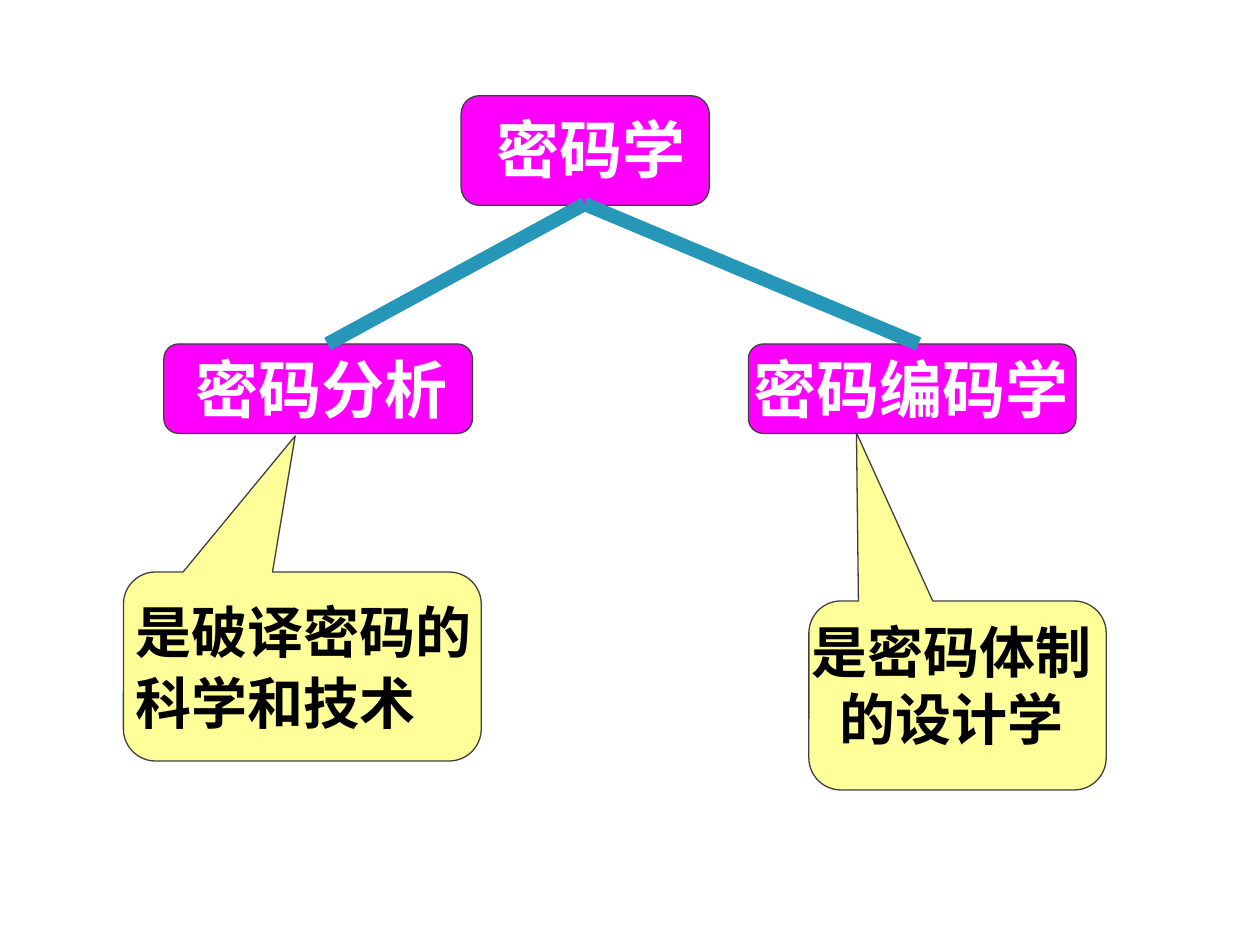
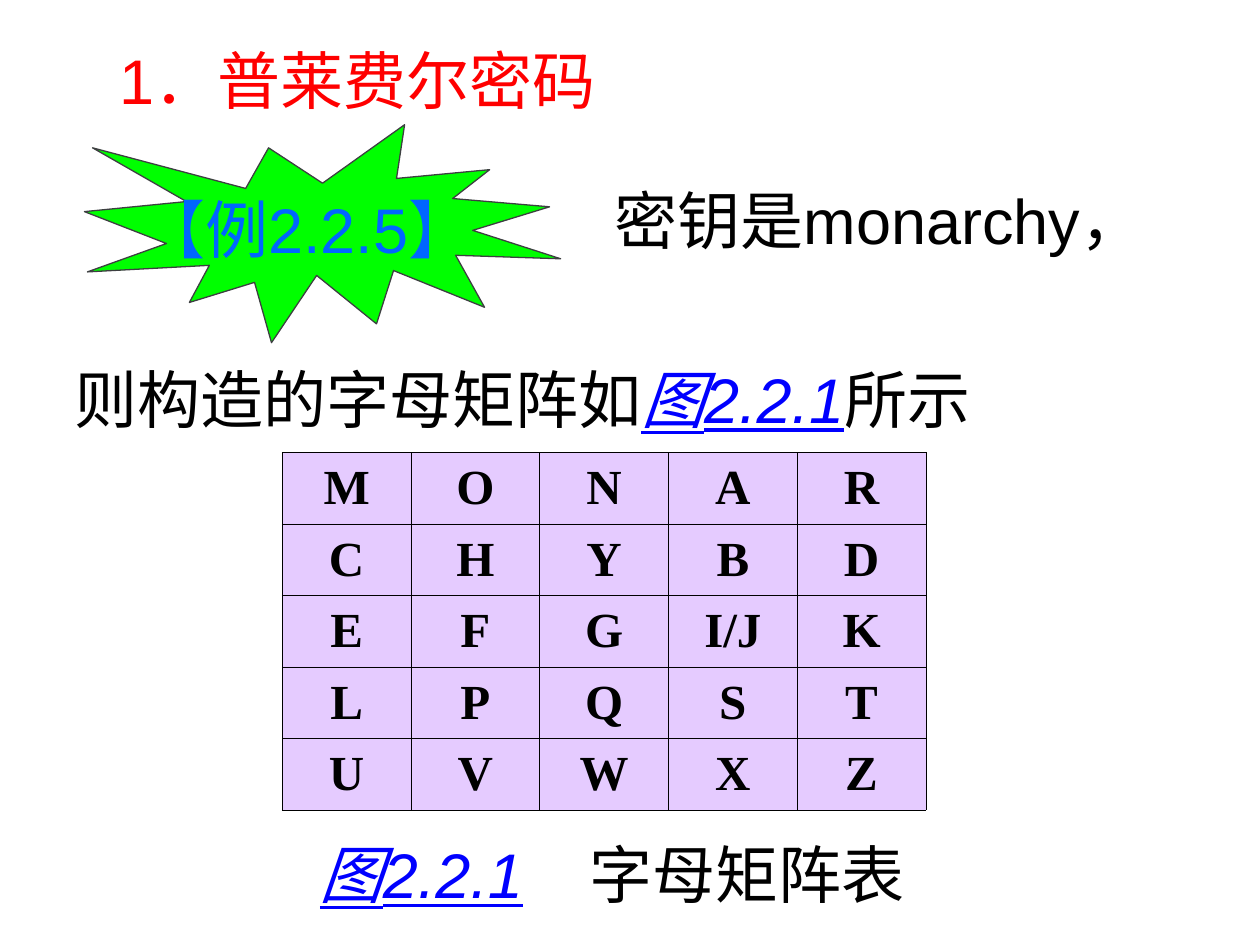
from lxml import etree
from pptx import Presentation, oxml, util as u
from pptx.dml import color
from pptx.enum import shapes, text
from pptx.oxml import ns

PX = 9144  # EMU in one px, 100 px to the inch
BLANK_LAYOUT = 6
BLACK, WHITE, RED = "000000", "FFFFFF", "FF0000"
MAGENTA, YELLOW, GREEN = "FF00FF", "FFFF99", "00FF00"
BLUE, LINK_BLUE, TEAL = "0066FF", "0000FF", "2797B9"
LILAC, OUTLINE = "CC99FF", "3D3F41"

MATRIX = [row.split() for row in ("M O N A R", "C H Y B D", "E F G I/J K", "L P Q S T", "U V W X Z")]
FIGURE = "图2.2.1"


def px(*lengths):
    return [u.Emu(length * PX) for length in lengths]


def rgb(code):
    return color.RGBColor.from_string(code)


class Painter:
    """Holds the deck style and the page being drawn."""

    font, size = "Arial", 36

    def __init__(self, deck):
        self.deck = deck
        self.page = None

    def new_page(self):
        self.page = self.deck.slides.add_slide(self.deck.slide_layouts[BLANK_LAYOUT])

    def style(self, span, tint, size=None, bold=False, font=None):
        span.font.name = font or self.font
        span.font.size = u.Pt(size or self.size)
        span.font.bold = bold
        span.font.color.rgb = rgb(tint)

    def shape(self, kind, place, fill, adjustments=()):
        shape = self.page.shapes.add_shape(kind, *px(*place))
        shape.shadow.inherit = False
        shape.fill.solid()
        shape.fill.fore_color.rgb = rgb(fill)
        shape.line.color.rgb = rgb(OUTLINE)
        shape.line.width = u.Pt(0.75)
        for index, value in enumerate(adjustments):
            shape.adjustments[index] = value

    def frame(self, place, wrap=False, middle=True):
        frame = self.page.shapes.add_textbox(*px(*place)).text_frame
        frame.word_wrap = wrap
        frame.auto_size = text.MSO_AUTO_SIZE.SHAPE_TO_FIT_TEXT
        frame.vertical_anchor = text.MSO_ANCHOR.MIDDLE if middle else text.MSO_ANCHOR.TOP
        return frame

    def label(self, words, place, tint=BLACK, size=None, bold=False, align=None, **options):
        frame = self.frame(place, **options)
        frame.text = words
        for para in frame.paragraphs:
            para.alignment = align
            self.style(para.runs[0], tint, size, bold)
        return frame

    def figure_line(self, before, after, place, tab=None):
        """Write a line that refers to the figure, with an optional tab stop in px."""
        para = self.frame(place, wrap=tab is not None).paragraphs[0]
        if tab is not None:
            stops = etree.SubElement(para._p.get_or_add_pPr(), ns.qn("a:tabLst"))
            etree.SubElement(stops, ns.qn("a:tab"), pos=str(tab * PX), algn="l")
        for words in filter(None, (before, FIGURE, after)):
            span = para.add_run()
            span.text = words
            is_link = words == FIGURE
            self.style(span, LINK_BLUE if is_link else BLACK)
            span.font.italic = span.font.underline = is_link

    def node(self, words, place, words_place):
        self.shape(shapes.MSO_SHAPE.FLOWCHART_ALTERNATE_PROCESS, place, MAGENTA)
        self.label(words, words_place, WHITE, bold=True)

    def callout(self, words, place, tip, words_place, **options):
        self.shape(shapes.MSO_SHAPE.ROUNDED_RECTANGULAR_CALLOUT, place, YELLOW, (*tip, 0.17))
        return self.label(words, words_place, size=32, bold=True, wrap=True, middle=False, **options)

    def branch(self, start, end):
        line = self.page.shapes.add_connector(shapes.MSO_CONNECTOR.STRAIGHT, *px(*start, *end))
        line.line.color.rgb = rgb(TEAL)
        line.line.width = u.Pt(8)
        etree.SubElement(line._element.spPr, ns.qn("a:effectLst"))

    def border(self, cell):
        for side in "LRTB":
            cell._tc.get_or_add_tcPr().append(oxml.parse_xml(
                f'<a:ln{side} {ns.nsdecls("a")} w="{u.Pt(0.45)}"><a:solidFill>'
                f'<a:srgbClr val="{BLACK}"/></a:solidFill></a:ln{side}>'))

    def tint_cell(self, cell):
        cell.fill.solid()
        cell.fill.fore_color.rgb = rgb(LILAC)
        fill = cell._tc.tcPr.find(ns.qn("a:solidFill"))
        etree.SubElement(fill[0], ns.qn("a:alpha"), val="50000")

    def table(self, rows, place):
        table = self.page.shapes.add_table(len(rows), len(rows[0]), *px(*place)).table
        table.first_row = table.horz_banding = False
        for cell, words in zip(table.iter_cells(), sum(rows, [])):
            self.border(cell)
            self.tint_cell(cell)
            cell.vertical_anchor = text.MSO_ANCHOR.MIDDLE
            cell.text = words
            para = cell.text_frame.paragraphs[0]
            para.alignment = text.PP_ALIGN.CENTER
            self.style(para.runs[0], BLACK, 28, True, "Times New Roman")


def draw_branches(painter):
    painter.new_page()
    painter.node("密码学", (366, 76, 197, 87), (384, 83, 181, 70))
    painter.node("密码编码学", (594, 273, 260, 71), (588, 273, 281, 70))
    painter.node("密码分析", (130, 273, 245, 71), (145, 273, 231, 70))
    for end in (260, 729):
        painter.branch((464, 162), (end, 273))
    analysis = painter.callout("是破译密码的科学和技术", (98, 454, 284, 150), (-0.02, -1.22),
                               (98, 466, 324, 124))
    analysis.paragraphs[0].line_spacing = 1.06
    painter.callout("是密码体制\n的设计学", (642, 477, 236, 150), (-0.34, -1.39),
                    (625, 485, 260, 117), align=text.PP_ALIGN.CENTER)


def draw_playfair(painter):
    painter.new_page()
    painter.shape(shapes.MSO_SHAPE.EXPLOSION1, (67, 99, 378, 173), GREEN)
    painter.label("【例2.2.5】", (103, 146, 318, 70), BLUE)
    painter.label("密钥是monarchy，", (478, 139, 475, 70))
    painter.figure_line("则构造的字母矩阵如", "所示", (49, 281, 766, 70))
    painter.table(MATRIX, (224, 359, 511, 284))
    painter.figure_line("", "\t字母矩阵表", (244, 658, 500, 70), tab=214)
    painter.label("1．普莱费尔密码", (85, 28, 410, 70), RED)


def main():
    deck = Presentation()
    deck.slide_width, deck.slide_height = px(1000, 750)
    painter = Painter(deck)
    draw_branches(painter)
    draw_playfair(painter)
    deck.save("out.pptx")


if __name__ == "__main__":
    main()
